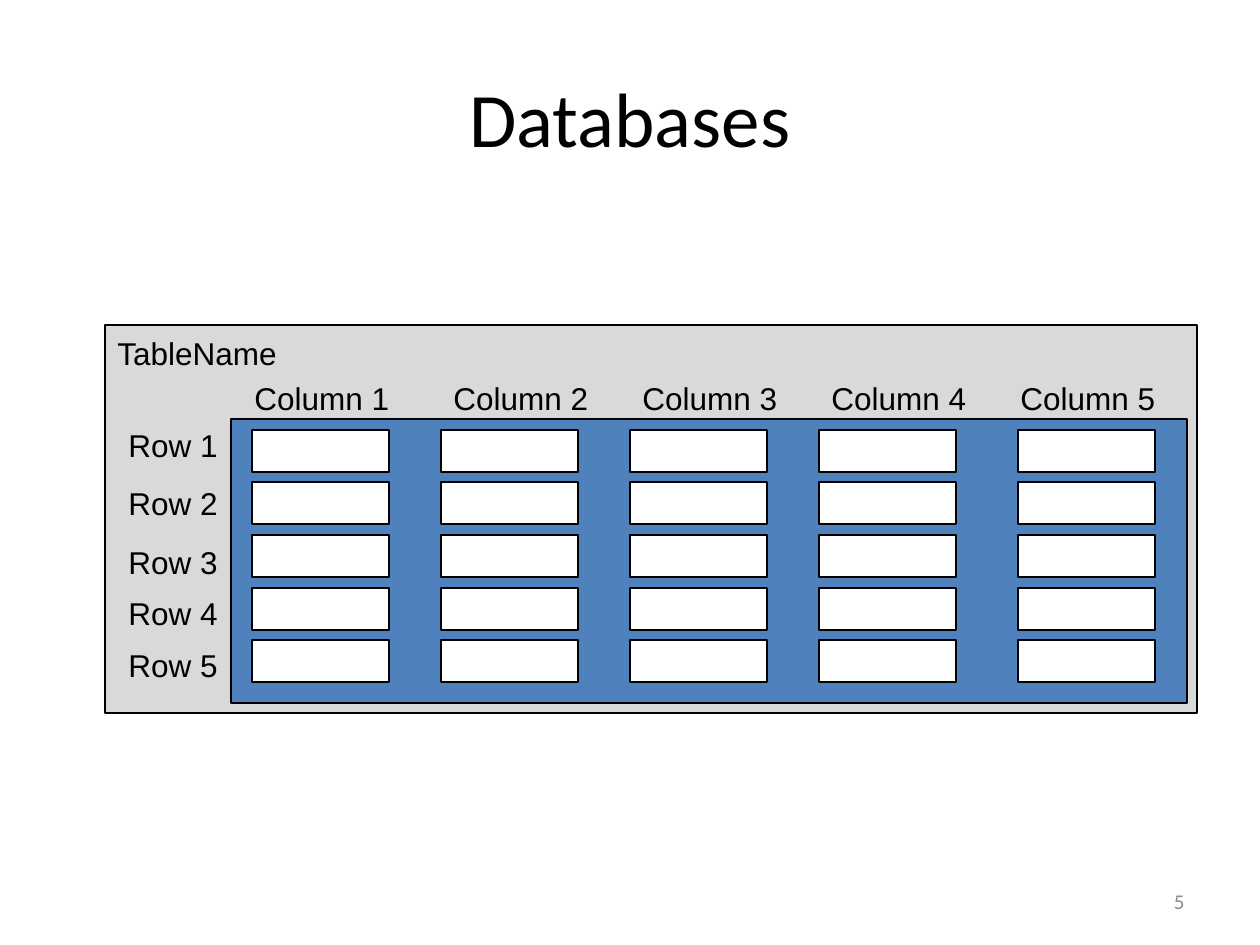
from pptx import Presentation
from pptx.dml.color import RGBColor
from pptx.enum.shapes import MSO_SHAPE
from pptx.enum.text import MSO_ANCHOR, PP_ALIGN
from pptx.util import Emu, Pt

PX = 914400 / 126
COLORS = {
    "text": "000000",
    "line": "000000",
    "frame": "D9D9D9",
    "panel": "4F81BD",
    "cell": "FFFFFF",
    "number": "8C8C8C",
}


def px(*lengths):
    return [Emu(round(length * PX)) for length in lengths]


def write(shape, text, size=18, font="Arial", color="text",
          align=PP_ALIGN.LEFT, anchor=MSO_ANCHOR.TOP):
    frame = shape.text_frame
    frame.word_wrap = True
    frame.vertical_anchor = anchor
    paragraph = frame.paragraphs[0]
    paragraph.alignment = align
    run = paragraph.add_run()
    run.text = text
    run.font.size = Pt(size)
    run.font.name = font
    run.font.color.rgb = RGBColor.from_string(COLORS[color])


def add_label(shapes, left, top, text, width=189):
    write(shapes.add_textbox(*px(left, top, width, 50)), text)


def add_box(shapes, left, top, width, height, color):
    box = shapes.add_shape(MSO_SHAPE.RECTANGLE, *px(left, top, width, height))
    box.shadow.inherit = False
    box.fill.solid()
    box.fill.fore_color.rgb = RGBColor.from_string(COLORS[color])
    box.line.color.rgb = RGBColor.from_string(COLORS["line"])
    box.line.width = Pt(0.75)


def place_title(slide, left, top, width, height):
    title = slide.shapes.title
    title.left, title.top, title.width, title.height = px(left, top, width, height)
    write(title, "Databases", size=44, font="Calibri",
          align=PP_ALIGN.CENTER, anchor=MSO_ANCHOR.MIDDLE)


def place_table_diagram(slide, left, top, width, height):
    shapes = slide.shapes.add_group_shape().shapes
    add_box(shapes, left, top, width, height, "frame")
    add_label(shapes, left, top + 3, "TableName")

    # Column and row headings, spaced by hand around the panel
    for number, offset in enumerate((137, 336, 525, 714, 903), start=1):
        add_label(shapes, left + offset, top + 48, f"Column {number}")
    for number, offset in enumerate((95, 153, 212, 263, 315), start=1):
        add_label(shapes, left + 11, top + offset, f"Row {number}")

    # Panel with its cells; the last column sits a little further right
    panel_left, panel_top = left + 126, top + 94
    add_box(shapes, panel_left, panel_top, width - 136, height - 104, "panel")
    for row in range(5):
        cell_top = panel_top + 11 + round(row * 52.5)
        for column_offset in (21, 210, 399, 588, 787):
            add_box(shapes, panel_left + column_offset, cell_top, 137, 42, "cell")


def place_slide_number(slide, left, top, width, height):
    number = slide.shapes.add_textbox(*px(left, top, width, height))
    write(number, "5", size=12, font="Calibri", color="number",
          align=PP_ALIGN.RIGHT, anchor=MSO_ANCHOR.MIDDLE)


def main():
    deck = Presentation()
    deck.slide_width, deck.slide_height = px(1260, 945)
    slide = deck.slides.add_slide(deck.slide_layouts[5])
    place_title(slide, 63, 38, 1134, 158)
    place_table_diagram(slide, 105, 325, 1092, 388)
    place_slide_number(slide, 903, 876, 294, 50)
    deck.save("out.pptx")


if __name__ == "__main__":
    main()
